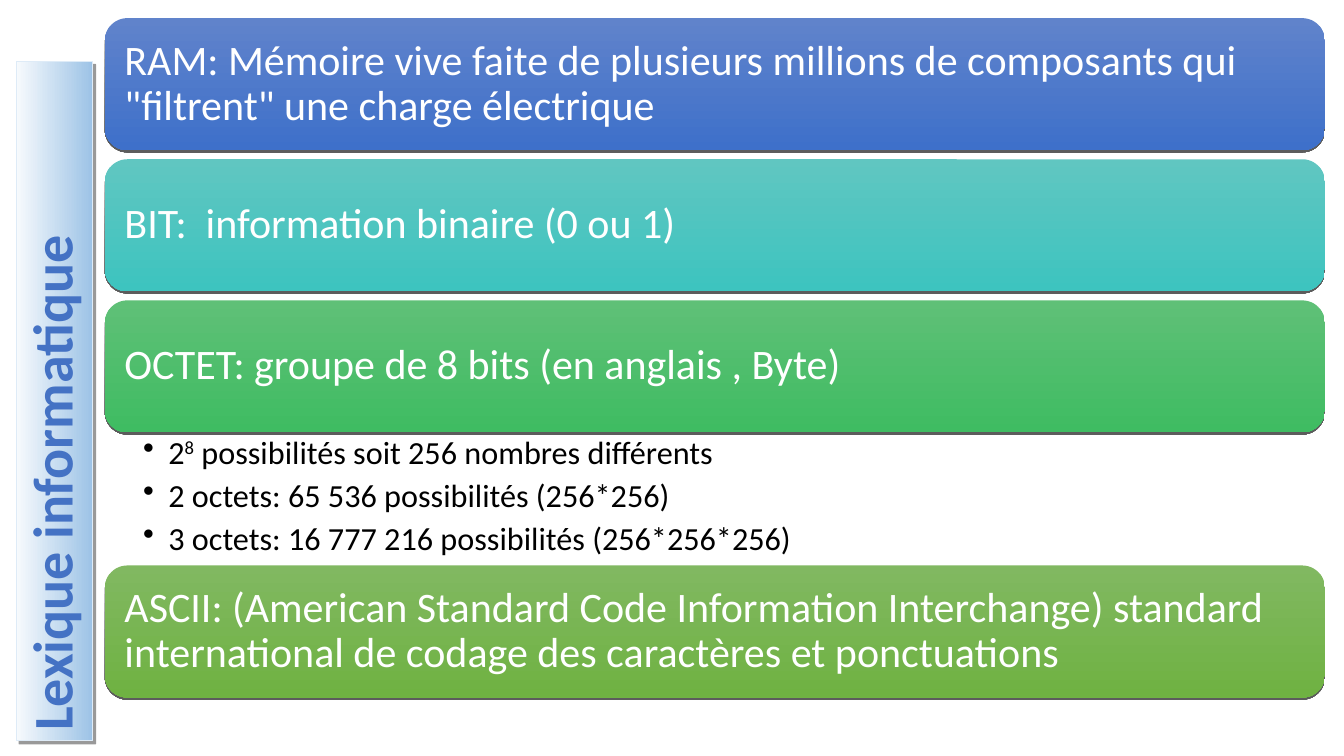
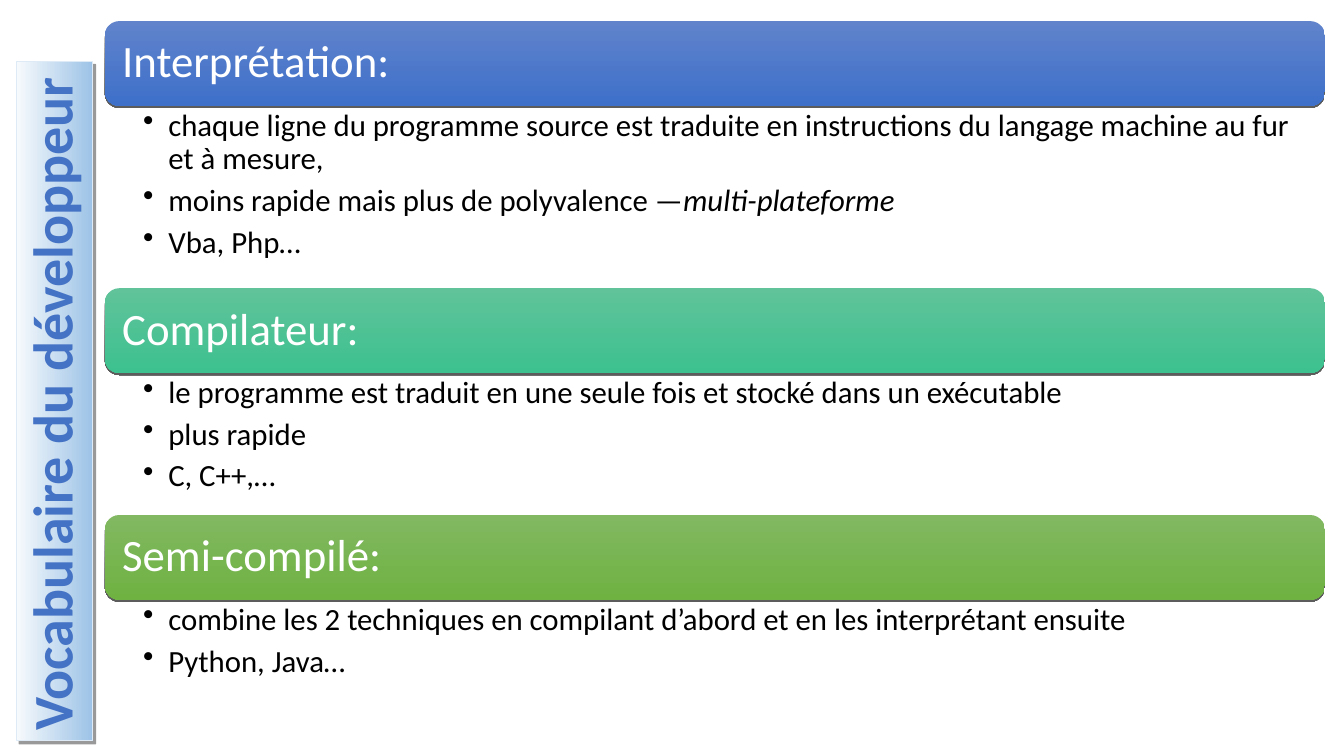
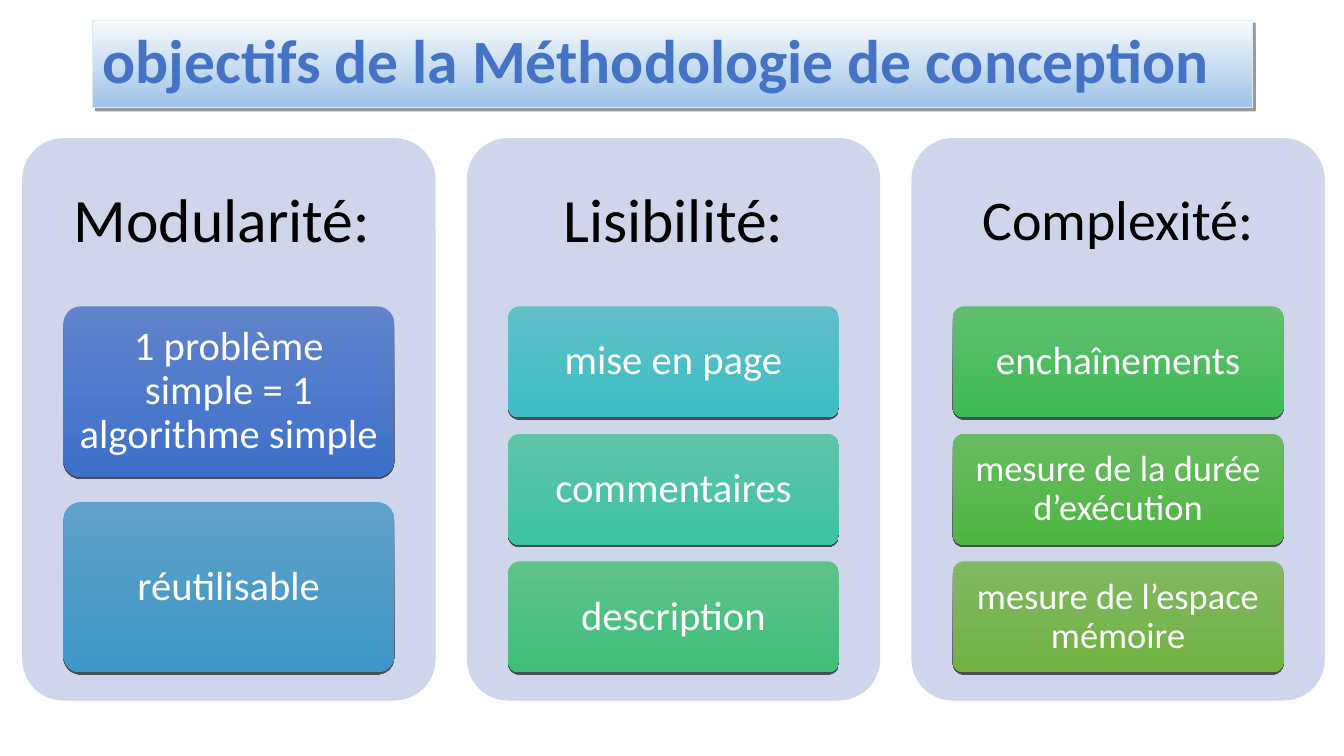
from lxml.etree import SubElement
from pptx import Presentation
from pptx.dml.color import RGBColor
from pptx.enum.shapes import MSO_SHAPE
from pptx.enum.text import MSO_ANCHOR, MSO_AUTO_SIZE, PP_ALIGN
from pptx.oxml.ns import qn
from pptx.util import Inches, Pt

FONT = "Calibri"
WHITE = RGBColor(0xFF, 0xFF, 0xFF)
BLACK = RGBColor(0x00, 0x00, 0x00)
TITLE_BLUE = RGBColor(0x44, 0x72, 0xC4)
TITLE_EDGE = RGBColor(0xDE, 0xEB, 0xF7)
PANEL = RGBColor(0xCF, 0xD5, 0xEA)

TITLE_FADE = (RGBColor(0xF7, 0xFA, 0xFD), RGBColor(0x9D, 0xC3, 0xE6))
ROYAL = (RGBColor(0x60, 0x83, 0xCB), RGBColor(0x3E, 0x70, 0xCA))
SKY = (RGBColor(0x60, 0xA1, 0xC9), RGBColor(0x3D, 0x97, 0xC8))
CYAN = (RGBColor(0x60, 0xC0, 0xC6), RGBColor(0x3D, 0xBD, 0xC5))
TURQUOISE = (RGBColor(0x60, 0xC6, 0xC1), RGBColor(0x3D, 0xC4, 0xBF))
AQUA = (RGBColor(0x60, 0xC4, 0xAA), RGBColor(0x3D, 0xC2, 0xA3))
MINT = (RGBColor(0x60, 0xC3, 0x9A), RGBColor(0x3D, 0xC1, 0x8F))
JADE = (RGBColor(0x5F, 0xC2, 0x8A), RGBColor(0x3E, 0xBE, 0x7B))
EMERALD = (RGBColor(0x5F, 0xC0, 0x77), RGBColor(0x3F, 0xBC, 0x62))
GREEN = (RGBColor(0x5F, 0xBF, 0x6E), RGBColor(0x3F, 0xBA, 0x56))
GRASS = (RGBColor(0x68, 0xBB, 0x60), RGBColor(0x4E, 0xB6, 0x41))
OLIVE = (RGBColor(0x81, 0xB8, 0x61), RGBColor(0x6F, 0xB2, 0x42))

SIDE_TITLE = (-2.83, 3.6, 6.74, 0.76)
TOP_TITLE = (0.92, 0.2, 11.5, 0.87)
STACK_LEFT, STACK_WIDTH = 1.04, 12.1
BAND_GAP = 0.09
BAND_INSETS = (0.13, 0.13, 0.13, 0.13)

PANEL_LEFT, PANEL_TOP, PANEL_WIDTH, PANEL_HEIGHT = 0.22, 1.37, 4.1, 5.58
PANEL_PITCH = 4.41
PANEL_INSETS = (0.11, 0.11, 0.11, 4.01)
CARDS_TOP, CARDS_HEIGHT = 3.04, 3.63
CARD_GAP_SHARE = 0.15
CARD_INSETS = (0.08, 0.06, 0.08, 0.06)


def fade(shape, colours):
    """Fill a shape with a two-colour gradient from its top to its bottom."""
    shape.fill.gradient()
    shape.fill.gradient_angle = 270
    for stop, colour in zip(shape.fill.gradient_stops, colours):
        stop.color.rgb = colour


def cast_shadow(shape, opacity, distance, degrees):
    """Give a shape a sharp black shadow."""
    shape.shadow.inherit = False
    effects = shape._element.spPr.find(qn("a:effectLst"))
    shadow = SubElement(effects, qn("a:outerShdw"), blurRad="0", dist=str(Pt(distance)),
                        dir=str(degrees * 60000), algn="ctr", rotWithShape="0")
    colour = SubElement(shadow, qn("a:srgbClr"), val=str(BLACK))
    SubElement(colour, qn("a:alpha"), val=str(opacity * 1000))


def prepare_frame(shape, insets, anchor):
    """Set wrapping, insets and anchor, and return the text frame."""
    frame = shape.text_frame
    frame.word_wrap = True
    frame.auto_size = MSO_AUTO_SIZE.NONE
    frame.vertical_anchor = anchor
    (frame.margin_left, frame.margin_top,
     frame.margin_right, frame.margin_bottom) = map(Inches, insets)
    return frame


def add_span(para, text, size, colour, bold=False, italic=False, raised=False):
    """Add one formatted run to a paragraph."""
    span = para.add_run()
    span.text = text
    font = span.font
    font.name, font.size, font.bold, font.italic = FONT, Pt(size), bold, italic
    font.color.rgb = colour
    if raised:
        span._r.get_or_add_rPr().set("baseline", "30000")


def set_paragraph(para, align, space_after):
    """Set alignment and spacing of a paragraph."""
    para.alignment = align
    para.line_spacing = 0.9
    para.space_before = Pt(0)
    para.space_after = Pt(space_after)


def add_titled_page(deck, text, place, size, rotation=0):
    """Add a title-only slide with its shaded title."""
    page = deck.slides.add_slide(deck.slide_layouts[5])
    title = page.shapes.title
    title.left, title.top, title.width, title.height = map(Inches, place)
    title.rotation = rotation
    fade(title, TITLE_FADE)
    title.line.color.rgb = TITLE_EDGE
    title.line.width = Pt(0.75)
    cast_shadow(title, 40, 3, 45)
    frame = prepare_frame(title, (0.1, 0.05, 0.1, 0.05), MSO_ANCHOR.MIDDLE)
    para = frame.paragraphs[0]
    set_paragraph(para, PP_ALIGN.LEFT, 0)
    add_span(para, text, size, TITLE_BLUE, bold=True)
    return page


def add_rounded(page, place, roundness, insets, text, size, colour, align, space_after):
    """Add a rounded rectangle without outline that holds one paragraph."""
    box = page.shapes.add_shape(MSO_SHAPE.ROUNDED_RECTANGLE, *map(Inches, place))
    box.adjustments[0] = roundness
    box.line.fill.background()
    box.shadow.inherit = False
    para = prepare_frame(box, insets, MSO_ANCHOR.MIDDLE).paragraphs[0]
    set_paragraph(para, align, space_after)
    add_span(para, text, size, colour)
    return box


def add_bullets(page, place, items, size):
    """Add a bulleted list; each item is a list of (text, options) runs."""
    box = page.shapes.add_textbox(*map(Inches, place))
    frame = prepare_frame(box, (0.38, 0.04, 0.24, 0.04), MSO_ANCHOR.TOP)
    for index, item in enumerate(items):
        para = frame.add_paragraph() if index else frame.paragraphs[0]
        para.level = 1
        properties = para._p.get_or_add_pPr()
        properties.set("marL", str(Inches(0.25)))
        properties.set("indent", str(-Inches(0.25)))
        SubElement(properties, qn("a:buChar"), char="•")
        set_paragraph(para, PP_ALIGN.LEFT, 6)
        for text, options in item:
            add_span(para, text, size, BLACK, **options)


def add_stack(page, top, band_height, band_size, bullet_size, entries):
    """Stack full-width bands, each followed by its bullets or by a gap."""
    for heading, colours, list_height, items in entries:
        place = (STACK_LEFT, top, STACK_WIDTH, band_height)
        band = add_rounded(page, place, 0.17, BAND_INSETS, heading,
                           band_size, WHITE, PP_ALIGN.LEFT, 13)
        fade(band, colours)
        cast_shadow(band, 63, 1.5, 90)
        top += band_height
        if items:
            add_bullets(page, (STACK_LEFT, top, STACK_WIDTH, list_height), items, bullet_size)
        top += list_height or BAND_GAP


def add_panel(page, column, heading, size, cards):
    """Add a column panel with its heading and evenly spaced cards."""
    left = PANEL_LEFT + column * PANEL_PITCH
    panel = add_rounded(page, (left, PANEL_TOP, PANEL_WIDTH, PANEL_HEIGHT), 0.1,
                        PANEL_INSETS, heading, size, BLACK, PP_ALIGN.CENTER, 23)
    panel.fill.solid()
    panel.fill.fore_color.rgb = PANEL
    height = CARDS_HEIGHT / (len(cards) + CARD_GAP_SHARE * (len(cards) - 1))
    for row, (text, card_size, colours) in enumerate(cards):
        top = CARDS_TOP + row * height * (1 + CARD_GAP_SHARE)
        place = (left + 0.1 * PANEL_WIDTH, top, 0.8 * PANEL_WIDTH, height)
        card = add_rounded(page, place, 0.1, CARD_INSETS, text,
                           card_size, WHITE, PP_ALIGN.CENTER, 12)
        fade(card, colours)
        cast_shadow(card, 63, 1.5, 90)


def plain(*lines):
    """Turn lines of text into single-run bullet items."""
    return [[(line, {})] for line in lines]


def build_lexicon(deck):
    """Build the slide of computing terms."""
    page = add_titled_page(deck, "Lexique informatique", SIDE_TITLE, 40, 270)
    powers = [[("2", {}), ("8", {"raised": True}),
               (" possibilités soit 256 nombres différents", {})]]
    powers += plain("2 octets: 65 536 possibilités (256*256)",
                    "3 octets: 16 777 216 possibilités (256*256*256)")
    add_stack(page, 0.18, 1.31, 30, 23, [
        ("RAM: Mémoire vive faite de plusieurs millions de composants qui "
         "\"filtrent\" une charge électrique", ROYAL, 0, []),
        ("BIT:  information binaire (0 ou 1)", TURQUOISE, 0, []),
        ("OCTET: groupe de 8 bits (en anglais , Byte)", EMERALD, 1.32, powers),
        ("ASCII: (American Standard Code Information Interchange) standard "
         "international de codage des caractères et ponctuations", OLIVE, 0, []),
    ])


def build_vocabulary(deck):
    """Build the slide of developer vocabulary."""
    page = add_titled_page(deck, "Vocabulaire du développeur", SIDE_TITLE, 40, 270)
    interpreted = plain(
        "chaque ligne du programme source est traduite en instructions du langage "
        "machine au fur et à mesure,",
        "moins rapide mais plus de polyvalence —",
        "Vba, Php…")
    interpreted[1].append(("multi-plateforme", {"italic": True}))
    compiled = plain(
        "le programme est traduit en une seule fois et stocké dans un exécutable",
        "plus rapide",
        "C, C++,…")
    combined = plain(
        "combine les 2 techniques en compilant d’abord et en les interprétant ensuite",
        "Python, Java…")
    add_stack(page, 0.21, 0.84, 32, 22, [
        ("Interprétation:", ROYAL, 1.81, interpreted),
        ("Compilateur:", MINT, 1.41, compiled),
        ("Semi-compilé:", OLIVE, 0.94, combined),
    ])


def build_goals(deck):
    """Build the slide of design goals."""
    page = add_titled_page(deck, "objectifs de la Méthodologie de conception", TOP_TITLE, 44)
    panels = [
        ("Modularité: ", 44, [("1 problème simple = 1 algorithme simple", 29, ROYAL),
                              ("réutilisable", 29, SKY)]),
        ("Lisibilité:", 44, [("mise en page", 29, CYAN),
                             ("commentaires", 29, AQUA),
                             ("description", 29, JADE)]),
        ("Complexité:", 40, [("enchaînements", 28, GREEN),
                             ("mesure de la durée d’exécution", 26, GRASS),
                             ("mesure de l’espace mémoire", 26, OLIVE)]),
    ]
    for column, (heading, size, cards) in enumerate(panels):
        add_panel(page, column, heading, size, cards)


def main():
    """Build and save the deck."""
    deck = Presentation()
    deck.slide_width, deck.slide_height = Inches(13.33), Inches(7.5)
    build_lexicon(deck)
    build_vocabulary(deck)
    build_goals(deck)
    deck.save("out.pptx")


if __name__ == "__main__":
    main()
